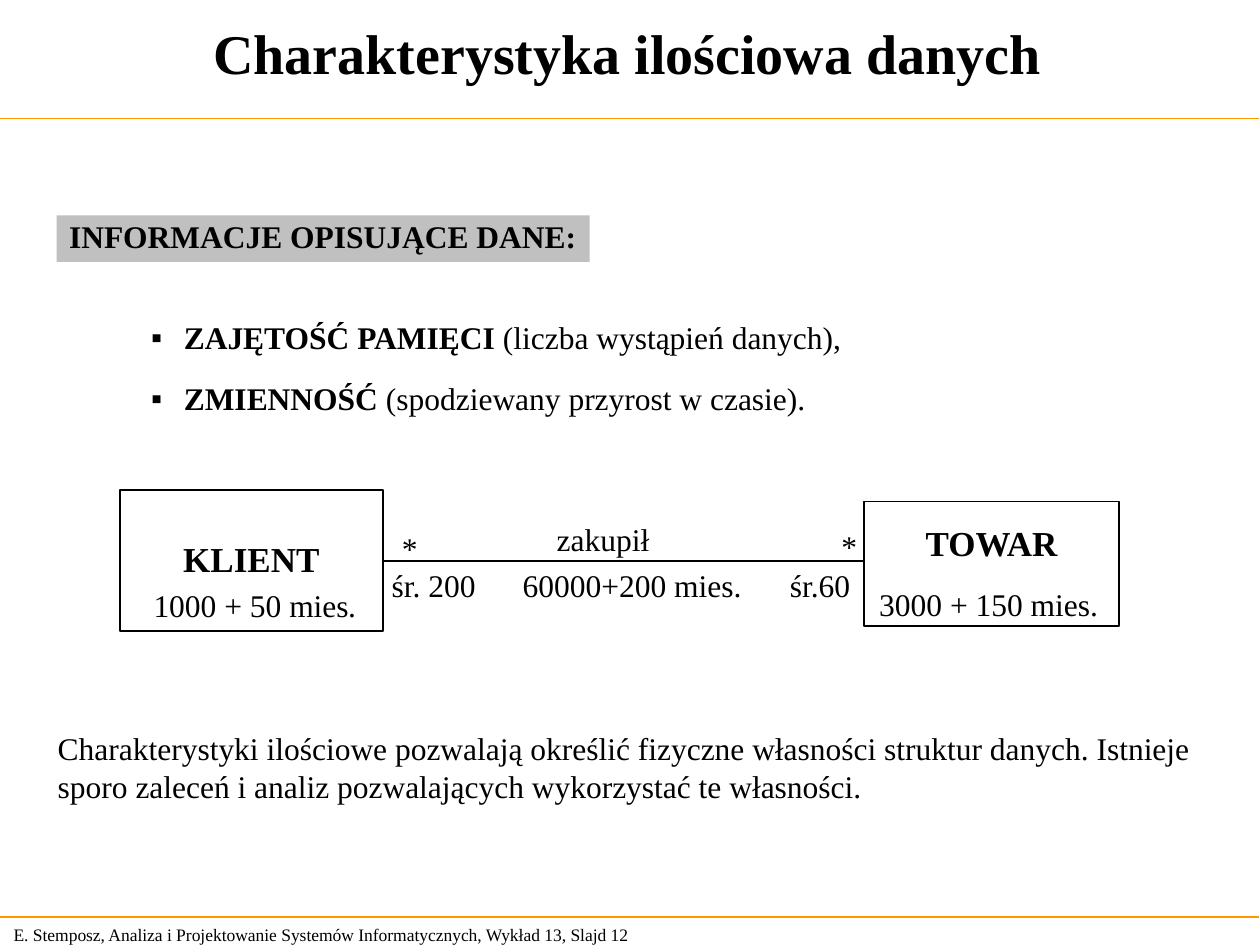
"""Build the slide on quantitative characteristics of data."""
from lxml import etree
from pptx import Presentation
from pptx.dml.color import RGBColor
from pptx.enum.shapes import MSO_CONNECTOR, MSO_SHAPE
from pptx.enum.text import MSO_ANCHOR, PP_ALIGN
from pptx.oxml.ns import qn
from pptx.util import Inches, Pt

RECTANGLE = MSO_SHAPE.RECTANGLE
STRAIGHT = MSO_CONNECTOR.STRAIGHT
TOP, MIDDLE = MSO_ANCHOR.TOP, MSO_ANCHOR.MIDDLE
LEFT, CENTER = PP_ALIGN.LEFT, PP_ALIGN.CENTER
BLACK = RGBColor(0x00, 0x00, 0x00)
GRAY = RGBColor(0xC0, 0xC0, 0xC0)
ORANGE = RGBColor(0xFF, 0x99, 0x00)
FONT = "Times New Roman"

TITLE = "Charakterystyka ilościowa danych"
FOOTER = "E. Stemposz, Analiza i Projektowanie Systemów Informatycznych, Wykład 13, Slajd 12"
HEADING = "INFORMACJE OPISUJĄCE DANE:"
BULLETS = [
    ("ZAJĘTOŚĆ PAMIĘCI ", "(liczba wystąpień danych),"),
    ("ZMIENNOŚĆ ", "(spodziewany przyrost w czasie)."),
]
SUMMARY = (
    "Charakterystyki ilościowe pozwalają określić fizyczne własności struktur danych. "
    "Istnieje sporo zaleceń i analiz pozwalających wykorzystać te własności."
)
ENTITIES = [
    ("KLIENT", (0.95, 3.89, 2.09, 1.12), 0.05),
    ("TOWAR", (6.86, 3.98, 2.02, 0.99), 0.34),
]
LABELS = [
    ("zakupił", 4.32, 4.08, 1),
    ("śr.60", 6.17, 4.44, 0.69),
    ("śr. 200", 3.01, 4.44, 0.88),
    ("60000+200 mies.", 4.05, 4.44, 1.94),
    ("3000 + 150 mies.", 6.88, 4.59, 1.94),
    ("*", 6.58, 4.13, 0.32),
    ("*", 3.09, 4.15, 0.32),
]
CLIENT_COUNT = ("1000 + 50 mies", ".")
CLIENT_COUNT_AREA = (1.12, 4.6, 1.81, 0.4)
LABEL_HEIGHT = 0.4
RULE_TOPS = (0.94, 7.28)


def add_span(para, text, size=18, bold=False, italic=False):
    span = para.add_run()
    span.text = text
    span.font.name = FONT
    span.font.size = Pt(size)
    span.font.bold = bold
    span.font.italic = italic
    span.font.color.rgb = BLACK


def add_text(page, area, text, size=18, bold=False, align=LEFT, anchor=TOP, wrap=True):
    box = page.shapes.add_textbox(*map(Inches, area))
    frame = box.text_frame
    frame.word_wrap = wrap
    frame.vertical_anchor = anchor
    para = frame.paragraphs[0]
    para.alignment = align
    add_span(para, text, size, bold)
    return para


def add_rectangle(page, area, text, size, align, anchor):
    box = page.shapes.add_shape(RECTANGLE, *map(Inches, area))
    box.shadow.inherit = False
    box.text_frame.word_wrap = False
    box.text_frame.vertical_anchor = anchor
    para = box.text_frame.paragraphs[0]
    para.alignment = align
    para.line_spacing = 0.9
    add_span(para, text, size, bold=True)
    return box


def add_line(page, start, end, color):
    line = page.shapes.add_connector(STRAIGHT, *map(Inches, start + end))
    line.line.color.rgb = color
    line.line.width = Pt(1)
    properties = line._element.find(qn("p:spPr"))
    etree.SubElement(properties, qn("a:effectLst"))
    return line


def add_bullets(page):
    box = page.shapes.add_textbox(*map(Inches, (0.34, 2.2, 7.28, 1.36)))
    frame = box.text_frame
    frame.word_wrap = True
    frame.margin_top = Inches(0.36)
    for index, (term, detail) in enumerate(BULLETS):
        para = frame.paragraphs[0] if index == 0 else frame.add_paragraph()
        para.line_spacing = 0.9
        para.space_before = Pt(15.5 if index else 0)
        properties = para._p.get_or_add_pPr()
        properties.set("marL", str(Inches(1.02)))
        properties.set("indent", str(Inches(-0.26)))
        color = etree.SubElement(properties, qn("a:buClr"))
        etree.SubElement(color, qn("a:srgbClr"), val=str(BLACK))
        etree.SubElement(properties, qn("a:buFont"), typeface=FONT)
        etree.SubElement(properties, qn("a:buChar"), char="▪")
        add_span(para, term, bold=True)
        add_span(para, detail)


def add_diagram(page):
    boxes = []
    for name, area, bottom_margin in ENTITIES:
        box = add_rectangle(page, area, name, 20, CENTER, MIDDLE)
        box.fill.background()
        box.line.color.rgb = BLACK
        box.line.width = Pt(1)
        box.text_frame.margin_bottom = Inches(bottom_margin)
        boxes.append(box)
    relation = add_line(page, (3.04, 4.45), (6.86, 4.45), BLACK)
    relation.begin_connect(boxes[0], 3)
    for text, left, top, width in LABELS:
        add_text(page, (left, top, width, LABEL_HEIGHT), text, wrap=False)
    number, period = CLIENT_COUNT
    para = add_text(page, CLIENT_COUNT_AREA, number, wrap=False)
    add_span(para, period, italic=True)


def main():
    deck = Presentation()
    deck.slide_width, deck.slide_height = Inches(10), Inches(7.5)
    page = deck.slides.add_slide(deck.slide_layouts[6])
    add_text(page, (0.01, 7.28, 5.24, 0.27), FOOTER, size=10, anchor=MIDDLE)
    for top in RULE_TOPS:
        add_line(page, (-0.01, top), (9.99, top), ORANGE)
    add_text(page, (0, -0.01, 9.96, 0.85), TITLE, 32, True, CENTER, MIDDLE)
    add_bullets(page)
    add_diagram(page)
    add_text(page, (0.36, 5.74, 9.29, 0.7), SUMMARY)
    heading = add_rectangle(page, (0.45, 1.71, 4.23, 0.37), HEADING, 18, LEFT, TOP)
    heading.fill.solid()
    heading.fill.fore_color.rgb = GRAY
    heading.line.fill.background()
    deck.save("out.pptx")


if __name__ == "__main__":
    main()
